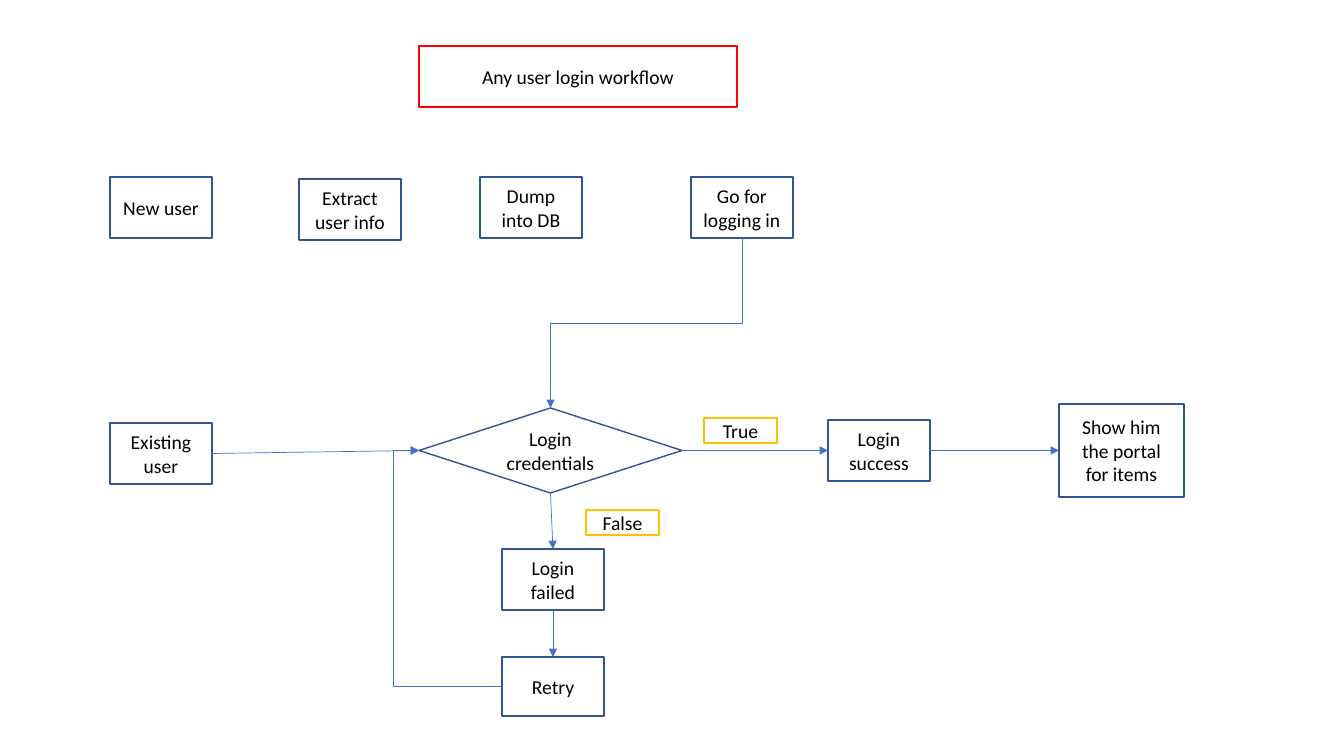
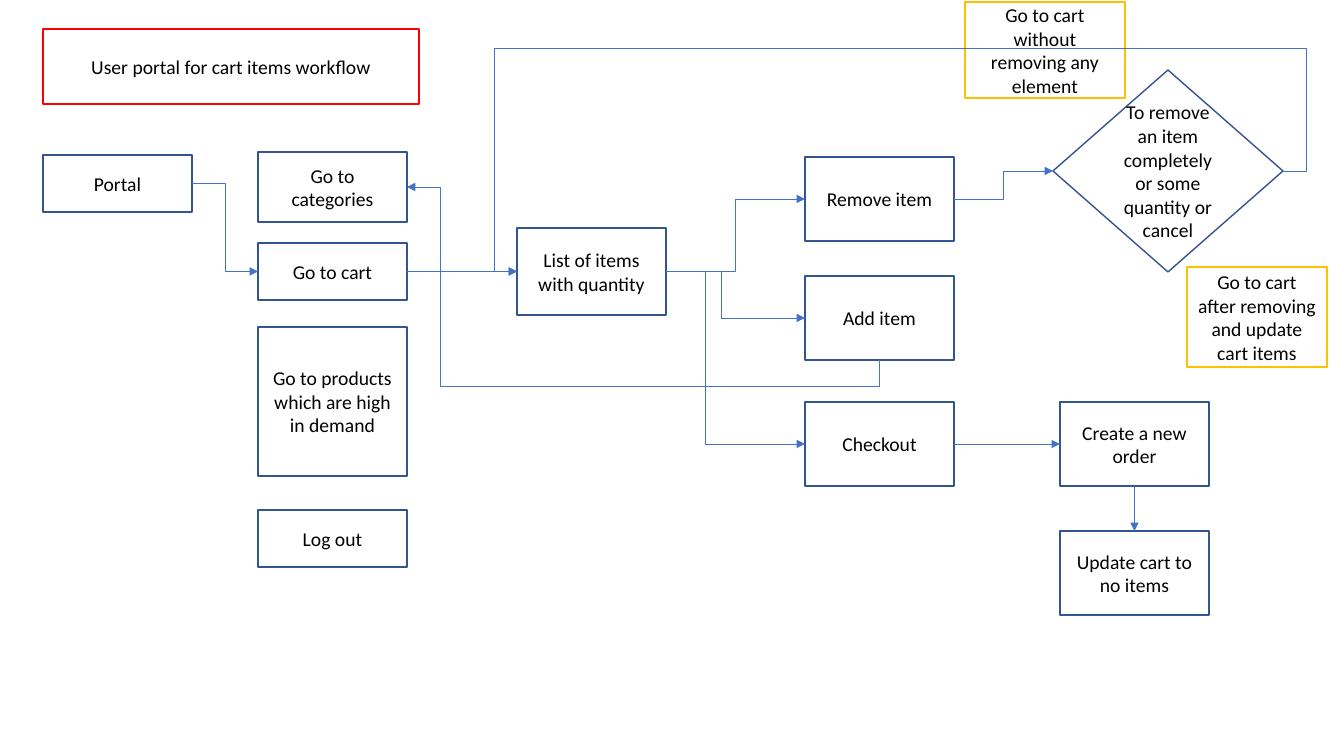
from dataclasses import dataclass
from enum import IntEnum

from lxml.etree import SubElement
from pptx import Presentation
from pptx.dml.color import RGBColor
from pptx.enum.shapes import MSO_CONNECTOR, MSO_SHAPE
from pptx.enum.text import MSO_ANCHOR, PP_ALIGN
from pptx.oxml.ns import qn
from pptx.shapes.autoshape import Shape
from pptx.slide import Slide
from pptx.util import Emu, Pt


@dataclass(frozen=True)
class Theme:
    font: str = "Calibri"
    text_size: Pt = Pt(14)
    outline_width: Pt = Pt(1)
    link_width: Pt = Pt(0.5)
    ink: RGBColor = RGBColor(0x00, 0x00, 0x00)
    step: RGBColor = RGBColor(0x32, 0x54, 0x91)
    title: RGBColor = RGBColor(0xFF, 0x00, 0x00)
    note: RGBColor = RGBColor(0xFF, 0xC0, 0x00)
    link: RGBColor = RGBColor(0x44, 0x72, 0xC4)


THEME = Theme()
PIXELS_PER_INCH = 100.8
SLIDE_WIDTH, SLIDE_HEIGHT = 1344, 756


class Side(IntEnum):
    TOP = 0
    LEFT = 1
    BOTTOM = 2
    RIGHT = 3


@dataclass(frozen=True)
class Box:
    text: str
    left: int
    top: int
    width: int
    height: int
    outline: RGBColor = THEME.step
    kind: MSO_SHAPE = MSO_SHAPE.RECTANGLE


@dataclass(frozen=True)
class Link:
    start: str
    start_side: Side
    end: str
    end_side: Side
    bends: tuple[float, ...] = ()
    turn: int = 0


@dataclass(frozen=True)
class Workflow:
    boxes: list[Box]
    links: list[Link]


def pixels(count: int) -> Emu:
    return Emu(round(count * 914400 / PIXELS_PER_INCH))


def login_step(text: str, left: int, top: int, height: int = 61) -> Box:
    return Box(text, left, top, 102, height)


def cart_step(text: str, left: int, top: int, height: int = 84) -> Box:
    return Box(text, left, top, 149, height)


def draw_box(page: Slide, box: Box) -> Shape:
    shape = page.shapes.add_shape(
        box.kind, pixels(box.left), pixels(box.top), pixels(box.width), pixels(box.height)
    )
    shape.shadow.inherit = False
    shape.fill.background()
    shape.line.color.rgb = box.outline
    shape.line.width = THEME.outline_width
    frame = shape.text_frame
    frame.word_wrap = True
    frame.vertical_anchor = MSO_ANCHOR.MIDDLE
    frame.text = box.text
    para = frame.paragraphs[0]
    para.alignment = PP_ALIGN.CENTER
    span = para.runs[0]
    span.font.name = THEME.font
    span.font.size = THEME.text_size
    span.font.color.rgb = THEME.ink
    return shape


def draw_link(page: Slide, link: Link, shapes: dict[str, Shape]) -> None:
    kind = MSO_CONNECTOR.ELBOW if link.bends else MSO_CONNECTOR.STRAIGHT
    connector = page.shapes.add_connector(kind, 0, 0, 0, 0)
    connector.begin_connect(shapes[link.start], link.start_side)
    connector.end_connect(shapes[link.end], link.end_side)
    connector.line.color.rgb = THEME.link
    connector.line.width = THEME.link_width
    properties = connector._element.spPr
    SubElement(properties.find(qn("a:ln")), qn("a:tailEnd"), type="triangle")
    SubElement(properties, qn("a:effectLst"))
    if link.bends:
        bend_link(connector, link)


def bend_link(connector, link: Link) -> None:
    across = connector.end_x - connector.begin_x
    down = connector.end_y - connector.begin_y
    middle_x = (connector.begin_x + connector.end_x) // 2
    middle_y = (connector.begin_y + connector.end_y) // 2
    run, rise = {0: (across, down), 90: (down, -across), 180: (-across, -down)}[link.turn]
    connector.width, connector.height = Emu(abs(run)), Emu(abs(rise))
    connector.left = Emu(middle_x - abs(run) // 2)
    connector.top = Emu(middle_y - abs(rise) // 2)
    properties = connector._element.spPr
    transform = properties.find(qn("a:xfrm"))
    transform.set("rot", str(link.turn * 60000))
    transform.set("flipH", str(int(run < 0)))
    transform.set("flipV", str(int(rise < 0)))
    geometry = properties.find(qn("a:prstGeom"))
    geometry.set("prst", f"bentConnector{len(link.bends) + 2}")
    guides = geometry.find(qn("a:avLst"))
    for number, ratio in enumerate(link.bends, start=1):
        SubElement(guides, qn("a:gd"), name=f"adj{number}", fmla=f"val {round(ratio * 100000)}")


def draw_workflow(page: Slide, workflow: Workflow) -> None:
    shapes = {box.text: draw_box(page, box) for box in workflow.boxes}
    for link in workflow.links:
        draw_link(page, link, shapes)


CREDENTIALS = "Login credentials"
PORTAL_ITEMS = "Show him the portal for items"
LOGIN = Workflow(
    boxes=[
        Box("Any user login workflow", 419, 46, 318, 61, THEME.title),
        login_step("New user", 110, 177),
        login_step("Extract user info", 299, 179),
        login_step("Dump into DB", 480, 177),
        login_step("Go for logging in", 691, 177),
        login_step("Existing user", 110, 423),
        Box(CREDENTIALS, 419, 408, 263, 85, kind=MSO_SHAPE.DIAMOND),
        login_step("Login success", 828, 420),
        Box(PORTAL_ITEMS, 1059, 404, 125, 93),
        login_step("Login failed", 502, 549),
        login_step("Retry", 502, 657, 59),
        Box("True", 704, 418, 73, 25, THEME.note),
        Box("False", 586, 510, 73, 25, THEME.note),
    ],
    links=[
        Link("Go for logging in", Side.BOTTOM, CREDENTIALS, Side.TOP, (0.5,), turn=90),
        Link("Existing user", Side.RIGHT, CREDENTIALS, Side.LEFT),
        Link(CREDENTIALS, Side.RIGHT, "Login success", Side.LEFT),
        Link("Login success", Side.RIGHT, PORTAL_ITEMS, Side.LEFT),
        Link(CREDENTIALS, Side.BOTTOM, "Login failed", Side.TOP),
        Link("Login failed", Side.BOTTOM, "Retry", Side.TOP),
        Link("Retry", Side.LEFT, CREDENTIALS, Side.LEFT, (1.31,), turn=180),
    ],
)

ITEM_LIST = "List of items with quantity"
REMOVAL_CHOICE = "To remove an item completely or some quantity or cancel"
MENU_LEFT, ACTION_LEFT, ORDER_LEFT = 258, 805, 1060
CART = Workflow(
    boxes=[
        Box("User portal for cart items workflow", 43, 29, 376, 75, THEME.title),
        cart_step("Portal", 43, 155, 57),
        cart_step("Go to categories", MENU_LEFT, 152, 70),
        cart_step("Go to cart", MENU_LEFT, 243, 57),
        cart_step("Go to products which are high in demand", MENU_LEFT, 327, 149),
        cart_step("Log out", MENU_LEFT, 510, 57),
        cart_step(ITEM_LIST, 517, 228, 87),
        cart_step("Remove item", ACTION_LEFT, 157),
        cart_step("Add item", ACTION_LEFT, 276),
        cart_step("Checkout", ACTION_LEFT, 402),
        cart_step("Create a new order", ORDER_LEFT, 402),
        cart_step("Update cart to no items", ORDER_LEFT, 531),
        Box(REMOVAL_CHOICE, 1053, 70, 230, 202, kind=MSO_SHAPE.DIAMOND),
        Box("Go to cart after removing and update cart items", 1187, 267, 140, 100, THEME.note),
        Box("Go to cart without removing any element", 965, 2, 160, 96, THEME.note),
    ],
    links=[
        Link("Portal", Side.RIGHT, "Go to cart", Side.LEFT, (0.5,)),
        Link("Go to cart", Side.RIGHT, ITEM_LIST, Side.LEFT),
        Link(ITEM_LIST, Side.RIGHT, "Remove item", Side.LEFT, (0.5,)),
        Link(ITEM_LIST, Side.RIGHT, "Add item", Side.LEFT, (0.4,)),
        Link(ITEM_LIST, Side.RIGHT, "Checkout", Side.LEFT, (0.28,)),
        Link("Remove item", Side.RIGHT, REMOVAL_CHOICE, Side.LEFT, (0.5,)),
        Link("Add item", Side.BOTTOM, "Go to categories", Side.RIGHT, (-0.15, 0.93), turn=90),
        Link(REMOVAL_CHOICE, Side.RIGHT, ITEM_LIST, Side.LEFT, (-0.03, -1.22, 1.03)),
        Link("Checkout", Side.RIGHT, "Create a new order", Side.LEFT),
        Link("Create a new order", Side.BOTTOM, "Update cart to no items", Side.TOP),
    ],
)

deck = Presentation()
deck.slide_width = pixels(SLIDE_WIDTH)
deck.slide_height = pixels(SLIDE_HEIGHT)
blank_layout = deck.slide_layouts[6]
for workflow in (LOGIN, CART):
    draw_workflow(deck.slides.add_slide(blank_layout), workflow)
deck.save("out.pptx")
